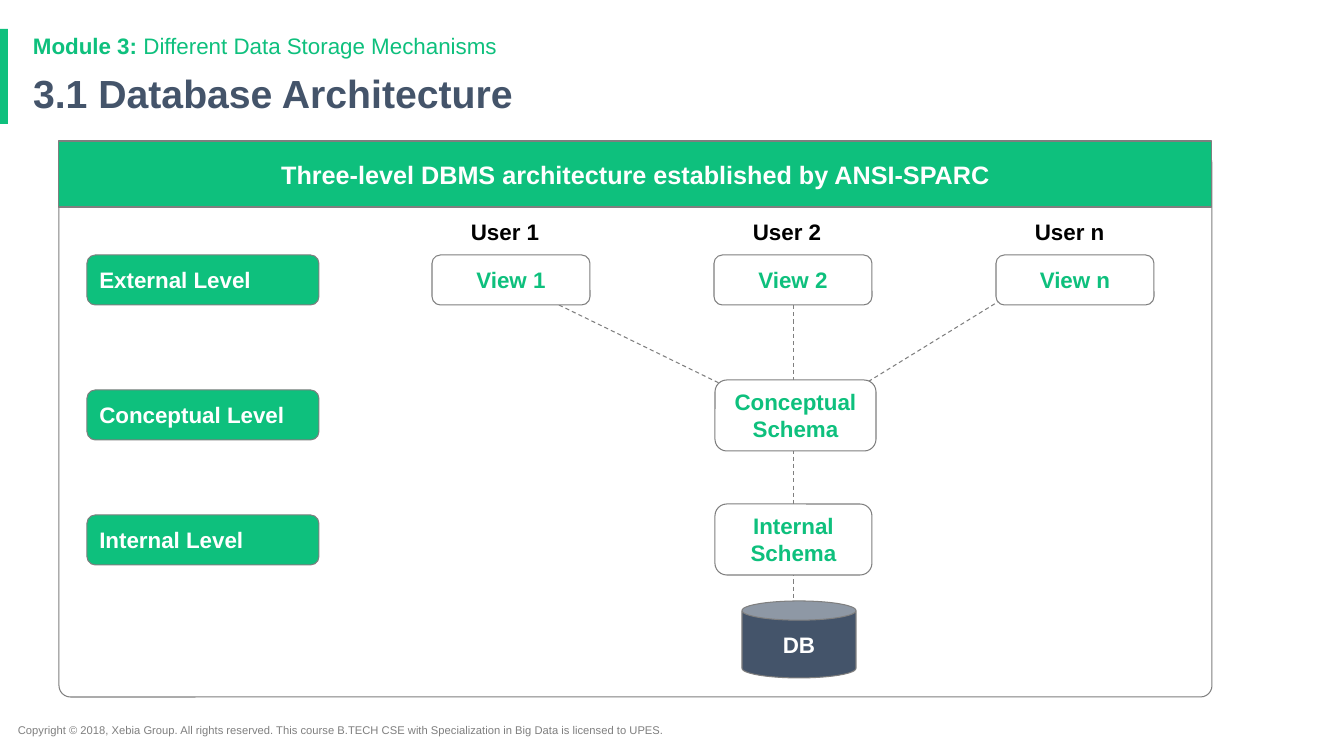
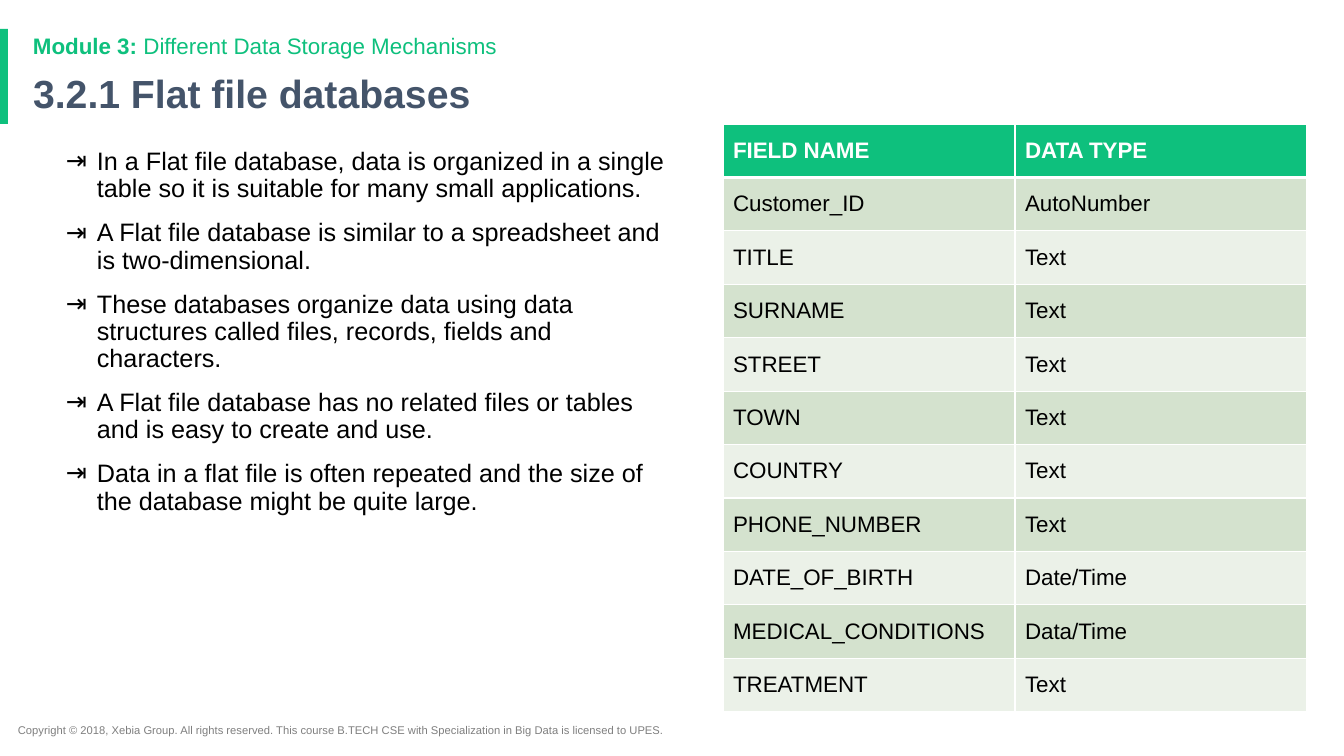
from dataclasses import dataclass
from lxml import etree
from pptx import Presentation
from pptx.dml.color import RGBColor
from pptx.enum.dml import MSO_LINE
from pptx.enum.shapes import MSO_CONNECTOR, MSO_SHAPE as Kind
from pptx.enum.text import MSO_ANCHOR as Anchor, MSO_AUTO_SIZE as Fit, PP_ALIGN as Align
from pptx.oxml.ns import qn
from pptx.util import Pt


@dataclass(frozen=True)
class Theme:
    font: str = "Arial"
    green: str = "0EC07D"
    navy: str = "44546A"
    gray: str = "7F7F7F"
    white: str = "FFFFFF"
    black: str = "000000"
    bands: tuple = ("D4E2CE", "EBF1E8")
    title: int = 28
    lead: int = 18
    body: int = 16
    note: int = 8
    line: float = 0.75


T = Theme()
rgb = RGBColor.from_string


def px(*nums):
    """Turn pixels (1344 to the slide width) into EMU."""
    return [round(n * 914400 / 100.8) for n in nums]


def write(frame, text, size, color, bold=False, align=Align.LEFT, space=None):
    """Fill a text frame, one paragraph per line of text."""
    frame.text = text
    for para in frame.paragraphs:
        para.alignment = align
        para.line_spacing = space
        for run in para.runs:
            font = run.font
            font.name, font.size, font.bold = T.font, Pt(size), bold
            font.color.rgb = rgb(color)


deck = Presentation()
deck.slide_width, deck.slide_height = px(1344, 756)

# Header and footer of every slide
slides = []
for name in ("3.1 Database Architecture", "3.2.1 Flat file databases"):
    slide = deck.slides.add_slide(deck.slide_layouts[5])
    slides.append(slide)

    bar = slide.shapes.add_shape(Kind.RECTANGLE, *px(0, 29, 8, 95))
    bar.shadow.inherit = False
    bar.fill.solid()
    bar.fill.fore_color.rgb = rgb(T.green)
    bar.line.fill.background()

    foot = slide.shapes.add_textbox(*px(8, 718, 719, 24)).text_frame
    foot.word_wrap = True
    write(foot, "Copyright © 2018, Xebia Group. All rights reserved. This course "
          "B.TECH CSE with Specialization in Big Data is licensed to UPES.", T.note, T.gray)

    title = slide.shapes.title
    title.left, title.top, title.width, title.height = px(23, 70, 1159, 54)
    frame = title.text_frame
    frame.auto_size, frame.vertical_anchor = Fit.NONE, Anchor.TOP
    write(frame, name, T.title, T.navy, True, space=0.9)

    unit = slide.shapes.add_textbox(*px(23, 30, 1159, 33)).text_frame
    unit.word_wrap = True
    write(unit, "Module 3:", T.body, T.green, True, space=0.9)
    run = unit.paragraphs[0].add_run()
    run.text = " Different Data Storage Mechanisms"
    run.font.name, run.font.size, run.font.bold = T.font, Pt(T.body), False
    run.font.color.rgb = rgb(T.green)

arch, flat = slides

# Architecture: box, fill, text colour, size, alignment, corner, kind
STEP = 282
ROUND = Kind.ROUNDED_RECTANGLE
panel = ("", (59, 152, 1153, 545), T.white, T.black, T.body, Align.CENTER, 0.021, ROUND)
head = ("Three-level DBMS architecture established by ANSI-SPARC",
        (59, 141, 1153, 66), T.green, T.white, T.lead, Align.CENTER, 0, ROUND)
levels = [(f"{name} Level", (87, y, 232, 50), T.green, T.white, T.body, Align.LEFT, 0.167, ROUND)
          for name, y in (("External", 255), ("Conceptual", 390), ("Internal", 515))]
nodes = [(f"View {n}", (432 + i * STEP, 255, 158, 50)) for i, n in enumerate("12n")]
nodes += [("Conceptual\nSchema", (715, 380, 161, 71)), ("Internal\nSchema", (715, 504, 157, 71))]
nodes = [(text, box, T.white, T.green, T.body, Align.CENTER, 0.167, ROUND) for text, box in nodes]
store = ("DB", (742, 601, 114, 77), T.navy, T.white, T.body, Align.CENTER, 0.25, Kind.CAN)

for text, box, fill, ink, size, align, bend, kind in (panel, head, *levels, *nodes, store):
    shape = arch.shapes.add_shape(kind, *px(*box))
    shape.shadow.inherit = False
    shape.adjustments[0] = bend
    shape.fill.solid()
    shape.fill.fore_color.rgb = rgb(fill)
    shape.line.color.rgb = rgb(T.gray)
    shape.line.width = Pt(T.line)
    if text:
        shape.text_frame.vertical_anchor = Anchor.MIDDLE
        write(shape.text_frame, text, size, ink, True, align)

    # Dashed links lie on the panel and under the boxes
    if kind == ROUND and not text:
        for ends in ((559, 305, 801, 423), (1001, 300, 801, 423), (794, 305, 794, 615)):
            link = arch.shapes.add_connector(MSO_CONNECTOR.STRAIGHT, *px(*ends))
            link.line.color.rgb = rgb(T.gray)
            link.line.width = Pt(T.line)
            link.line.dash_style = MSO_LINE.DASH
            etree.SubElement(link.element.spPr, qn("a:effectLst"))

# User labels above the views
for i, n in enumerate("12n"):
    label = arch.shapes.add_textbox(*px(461 + i * STEP, 213, 97, 37))
    write(label.text_frame, f"User {n}", T.body, T.black, True)

# Flat file points
points = [
    "In a Flat file database, data is organized in a single table so it is suitable "
    "for many small applications.",
    "A Flat file database is similar to a spreadsheet and is two-dimensional.",
    "These databases organize data using data structures called files, records, "
    "fields and characters.",
    "A Flat file database has no related files or tables and is easy to create and use.",
    "Data in a flat file is often repeated and the size of the database might be quite large.",
]
frame = flat.shapes.add_textbox(*px(56, 144, 622, 533)).text_frame
frame.word_wrap = True
write(frame, "\n".join(points), T.lead, T.black, space=0.9)
dent, = px(31)
for i, para in enumerate(frame.paragraphs):
    props = para._p.get_or_add_pPr()
    props.set("marL", str(dent))
    props.set("indent", str(-dent))
    etree.SubElement(props, qn("a:buFont"), typeface=T.font)
    etree.SubElement(props, qn("a:buChar"), char="⇥")
    if i:
        para.space_before = Pt(12)

# Field table
rows = [
    ("FIELD NAME", "DATA TYPE"),
    ("Customer_ID", "AutoNumber"),
    ("TITLE", "Text"),
    ("SURNAME", "Text"),
    ("STREET", "Text"),
    ("TOWN", "Text"),
    ("COUNTRY", "Text"),
    ("PHONE_NUMBER", "Text"),
    ("DATE_OF_BIRTH", "Date/Time"),
    ("MEDICAL_CONDITIONS", "Data/Time"),
    ("TREATMENT", "Text"),
]
grid = flat.shapes.add_table(len(rows), 2, *px(723, 124, 584, 588)).table
for r, row in enumerate(rows):
    top = r == 0
    for c, text in enumerate(row):
        cell = grid.cell(r, c)
        cell.vertical_anchor = Anchor.MIDDLE
        write(cell.text_frame, text, T.body, T.white if top else T.black, top)
        # White rules, thick below the heading row
        props = cell._tc.get_or_add_tcPr()
        for side in "LRTB":
            wide = (r, side) in ((0, "B"), (1, "T"))
            edge = etree.SubElement(props, qn(f"a:ln{side}"), w=str(Pt(3 if wide else 1)))
            paint = etree.SubElement(edge, qn("a:solidFill"))
            etree.SubElement(paint, qn("a:srgbClr"), val=T.white)
        cell.fill.solid()
        cell.fill.fore_color.rgb = rgb(T.green if top else T.bands[(r - 1) % 2])

deck.save("out.pptx")
